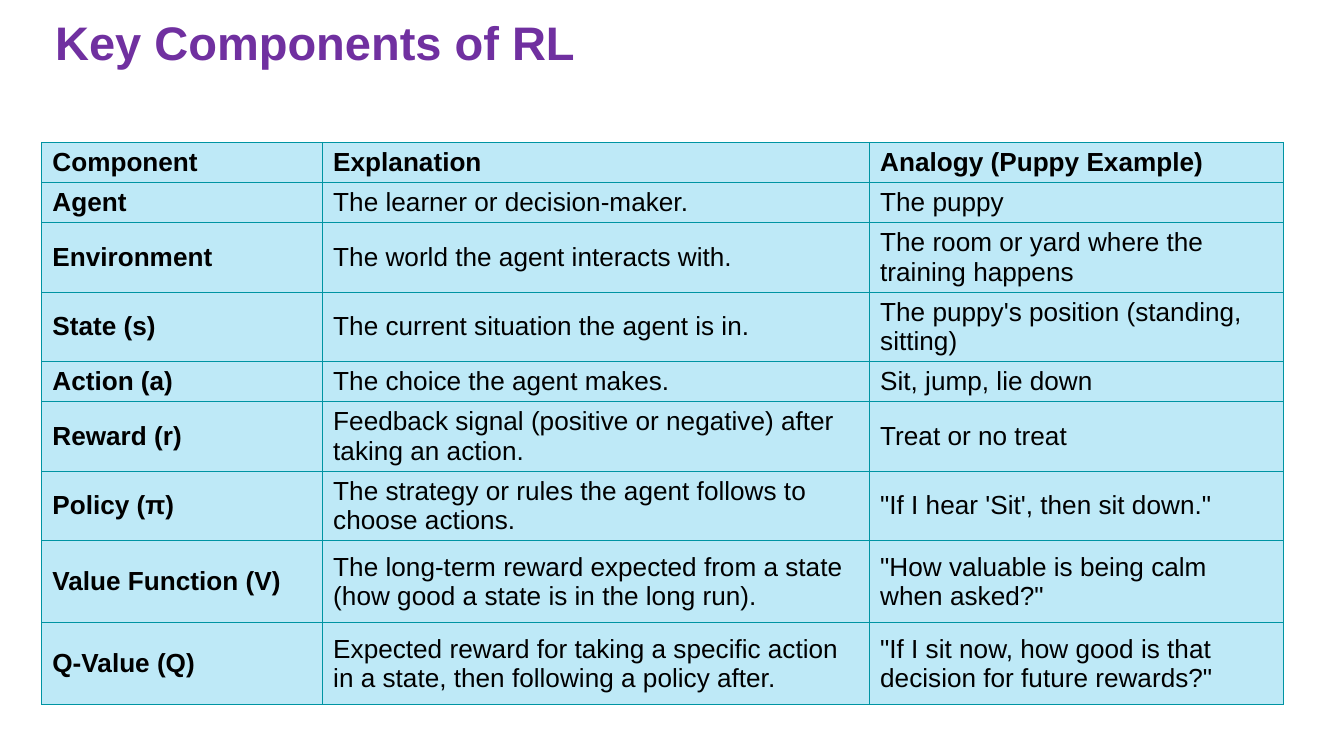
from lxml.etree import SubElement
from pptx import Presentation
from pptx.dml.color import RGBColor
from pptx.enum.text import MSO_ANCHOR, PP_ALIGN
from pptx.oxml.ns import qn
from pptx.util import Inches, Pt

COMPONENTS = [
    ("Component", "Explanation", "Analogy (Puppy Example)"),
    ("Agent", "The learner or decision-maker.", "The puppy"),
    ("Environment", "The world the agent interacts with.",
     "The room or yard where the training happens"),
    ("State (s)", "The current situation the agent is in.",
     "The puppy's position (standing, sitting)"),
    ("Action (a)", "The choice the agent makes.", "Sit, jump, lie down"),
    ("Reward (r)", "Feedback signal (positive or negative) after taking an action.",
     "Treat or no treat"),
    ("Policy (π)", "The strategy or rules the agent follows to choose actions.",
     "\"If I hear 'Sit', then sit down.\""),
    ("Value Function (V)",
     "The long-term reward expected from a state (how good a state is in the long run).",
     '"How valuable is being calm when asked?"'),
    ("Q-Value (Q)",
     "Expected reward for taking a specific action in a state, then following a policy after.",
     '"If I sit now, how good is that decision for future rewards?"'),
]
COLUMN_WIDTHS = [2.09, 4.07, 3.08]
ONE_LINE, TWO_LINES, TALL = 0.26, 0.44, 0.61
ROW_HEIGHTS = [ONE_LINE] * 2 + [TWO_LINES] * 2 + [ONE_LINE] + [TWO_LINES] * 2 + [TALL] * 2


def color(value):
    return RGBColor.from_string(value)


class SlideBuilder:
    font = "Arial"
    title_color = "7030A0"
    text_color = "000000"
    cell_color = "BEE9F7"
    border_color = "0094A3"

    def __init__(self, slide):
        self.slide = slide

    def add_run(self, paragraph, text, size, text_color, bold):
        run = paragraph.add_run()
        run.text = text
        run.font.name = self.font
        run.font.size = Pt(size)
        run.font.bold = bold
        run.font.color.rgb = color(text_color)

    def set_title(self, text, left, top, width, height):
        title = self.slide.shapes.title
        title.left, title.top = Inches(left), Inches(top)
        title.width, title.height = Inches(width), Inches(height)
        frame = title.text_frame
        frame.word_wrap = True
        frame.vertical_anchor = MSO_ANCHOR.TOP
        frame.margin_left = frame.margin_right = Inches(0.1)
        frame.margin_top = frame.margin_bottom = Inches(0.1)
        heading = frame.paragraphs[0]
        heading.alignment = PP_ALIGN.LEFT
        self.add_run(heading, text, 25.2, self.title_color, True)

    def add_borders(self, cell):
        properties = cell._tc.get_or_add_tcPr()
        for position, side in enumerate(("a:lnL", "a:lnR", "a:lnT", "a:lnB")):
            border = SubElement(properties, qn(side), w=str(Pt(0.75)))
            fill = SubElement(border, qn("a:solidFill"))
            SubElement(fill, qn("a:srgbClr"), val=self.border_color)
            properties.insert(position, border)

    def fill_cell(self, cell, text, bold):
        cell.fill.solid()
        cell.fill.fore_color.rgb = color(self.cell_color)
        cell.vertical_anchor = MSO_ANCHOR.MIDDLE
        cell.margin_left = cell.margin_right = Inches(0.08)
        cell.margin_top = cell.margin_bottom = Inches(0.04)
        self.add_run(cell.text_frame.paragraphs[0], text, 14, self.text_color, bold)
        self.add_borders(cell)

    def add_table(self, rows, left, top, widths, heights):
        """Add a table with a bold first row and first column."""
        table = self.slide.shapes.add_table(
            len(rows), len(widths), Inches(left), Inches(top),
            Inches(sum(widths)), Inches(sum(heights))).table
        for column, width in zip(table.columns, widths):
            column.width = Inches(width)
        for row, height in zip(table.rows, heights):
            row.height = Inches(height)
        for r, texts in enumerate(rows):
            for c, text in enumerate(texts):
                self.fill_cell(table.cell(r, c), text, bold=r == 0 or c == 0)


def main():
    presentation = Presentation()
    presentation.slide_width = Inches(10)
    presentation.slide_height = Inches(10 * 9 / 16)
    title_only = presentation.slide_layouts[5]
    builder = SlideBuilder(presentation.slides.add_slide(title_only))
    builder.set_title("Key Components of RL", 0.31, 0, 9.11, 0.69)
    builder.add_table(COMPONENTS, 0.31, 1.06, COLUMN_WIDTHS, ROW_HEIGHTS)
    presentation.save("out.pptx")


if __name__ == "__main__":
    main()
